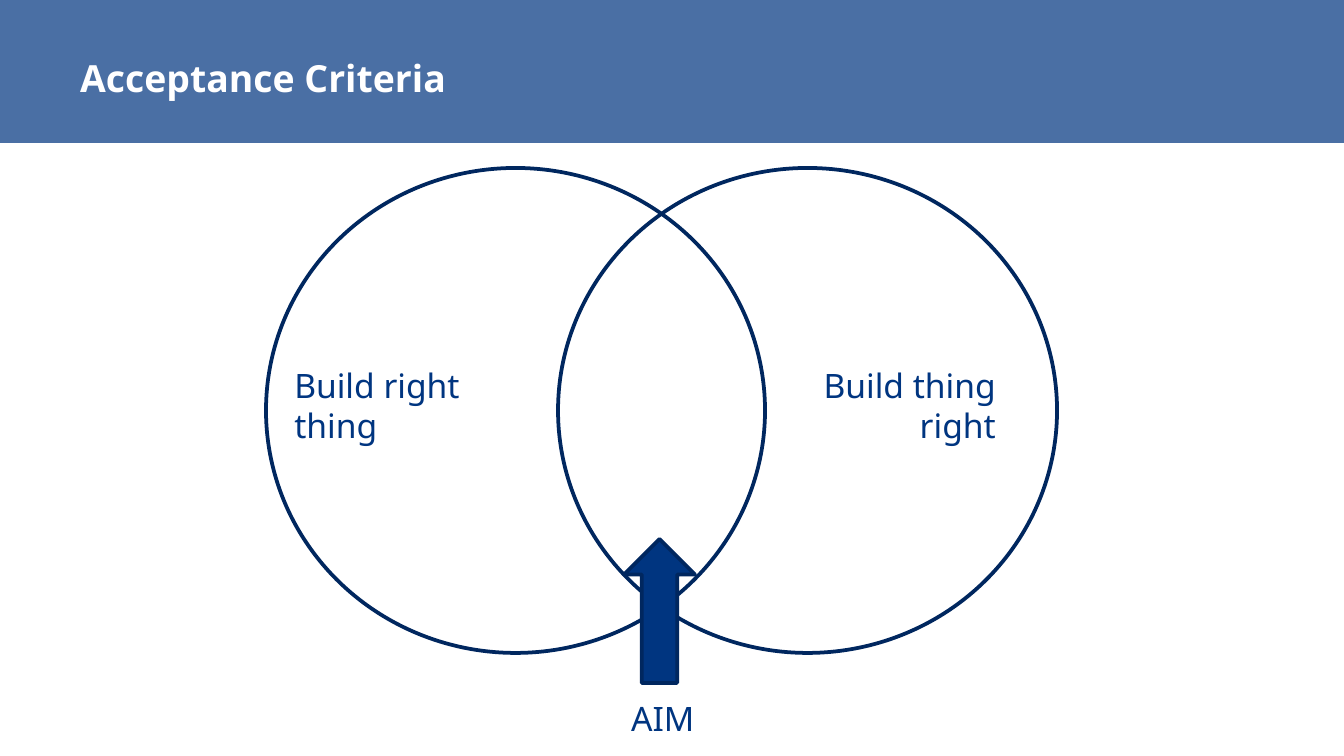
import pptx
import pptx.dml.color
import pptx.enum.shapes
import pptx.enum.text
import pptx.oxml.ns
import pptx.util
from lxml import etree

EMU_PER_PX = 914400 / 134.4
SHAPES = pptx.enum.shapes.MSO_SHAPE
ALIGN = pptx.enum.text.PP_ALIGN
ANCHOR = pptx.enum.text.MSO_ANCHOR


def px(length):
    return pptx.util.Emu(round(length * EMU_PER_PX))


def color(hex_string):
    return pptx.dml.color.RGBColor.from_string(hex_string)


class Deck:
    FONT = "Noto Sans"
    BLUE = "003580"
    OUTLINE = "00275F"
    WHITE = "FFFFFF"

    def __init__(self, width, height):
        self.prs = pptx.Presentation()
        self.prs.slide_width, self.prs.slide_height = px(width), px(height)
        self.slide = self.prs.slides.add_slide(self.prs.slide_layouts[6])

    def shape(self, kind, left, top, width, height, fill=None, line=None, opacity=100):
        shape = self.slide.shapes.add_shape(kind, px(left), px(top), px(width), px(height))
        shape.shadow.inherit = False
        if fill:
            shape.fill.solid()
            shape.fill.fore_color.rgb = color(fill)
            if opacity < 100:
                clr = shape.fill._xPr.find(".//" + pptx.oxml.ns.qn("a:srgbClr"))
                alpha = etree.SubElement(clr, pptx.oxml.ns.qn("a:alpha"))
                alpha.set("val", str(opacity * 1000))
        else:
            shape.fill.background()
        if line:
            shape.line.color.rgb = color(line)
            shape.line.width = pptx.util.Pt(2)
        else:
            shape.line.fill.background()
        return shape

    def text(self, words, left, top, width, height, size=18, ink=BLUE, bold=False,
             align=ALIGN.LEFT, anchor=ANCHOR.TOP):
        box = self.slide.shapes.add_textbox(px(left), px(top), px(width), px(height))
        frame = box.text_frame
        frame.word_wrap = True
        frame.vertical_anchor = anchor
        paragraph = frame.paragraphs[0]
        paragraph.alignment = align
        run = paragraph.add_run()
        run.text = words
        run.font.name = self.FONT
        run.font.size = pptx.util.Pt(size)
        run.font.bold = bold
        run.font.color.rgb = color(ink)
        return box


def main():
    deck = Deck(1344, 756)

    # Header band and title
    deck.shape(SHAPES.RECTANGLE, 0, 0, 1344, 143, fill=deck.BLUE, opacity=71)
    deck.text("Acceptance Criteria", 67, 31, 1210, 94, size=20, ink=deck.WHITE,
              bold=True, anchor=ANCHOR.MIDDLE)

    # Overlapping circles; only the back one is filled
    for left, fill in ((266, deck.WHITE), (558, None)):
        deck.shape(SHAPES.OVAL, left, 168, 499, 485, fill=fill, line=deck.OUTLINE)

    # Circle labels
    for words, left, align in (("Build right thing", 281, ALIGN.LEFT),
                               ("Build thing right", 763, ALIGN.RIGHT)):
        deck.text(words, left, 358, 246, 54, align=align)

    # Arrow to the overlap, with its label
    deck.shape(SHAPES.UP_ARROW, 624, 539, 71, 144, fill=deck.BLUE, line=deck.OUTLINE)
    deck.text("AIM", 618, 691, 122, 54)

    deck.prs.save("out.pptx")


if __name__ == "__main__":
    main()
